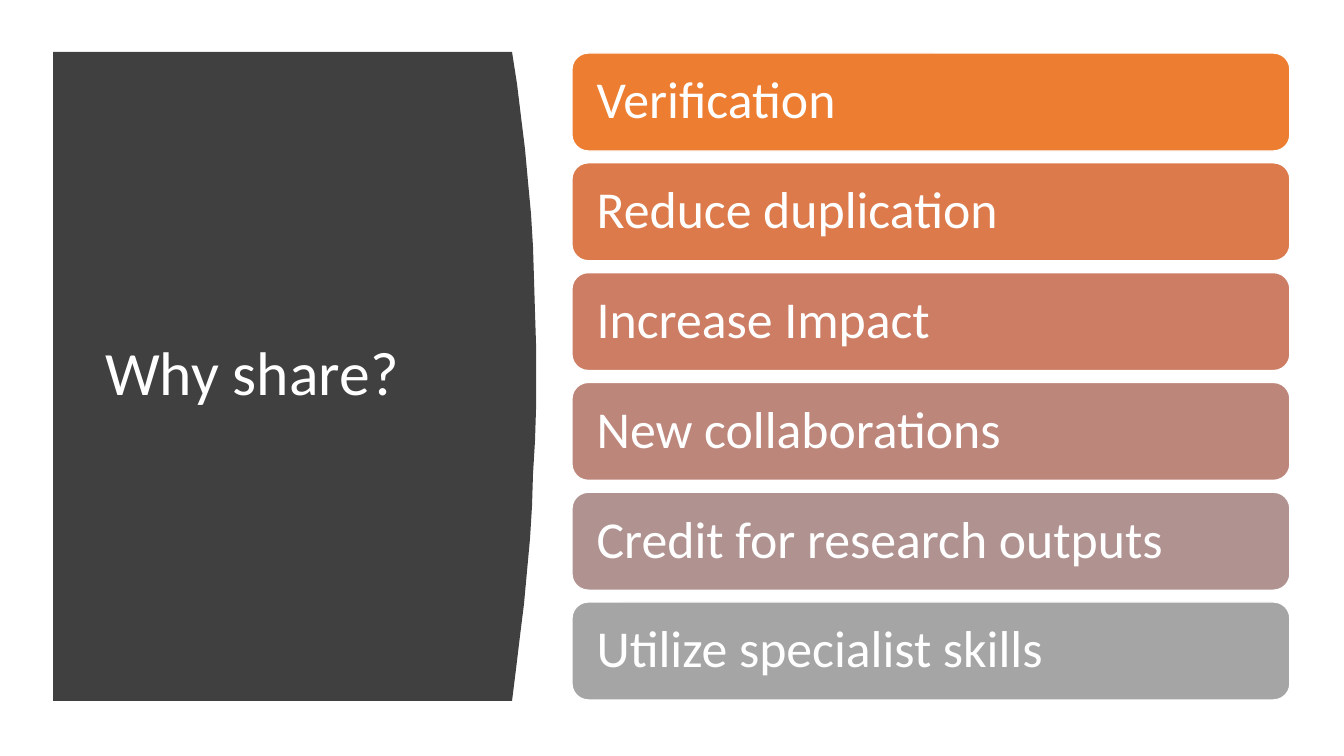
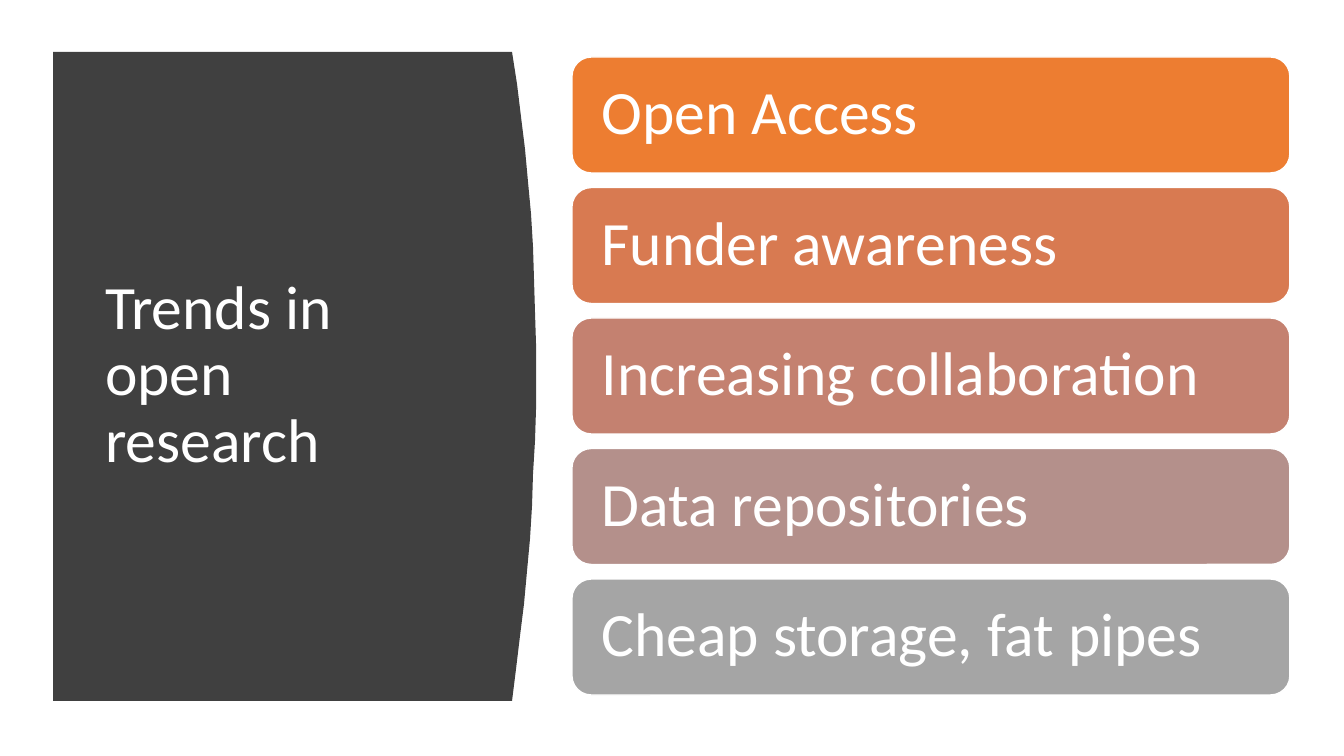
import colorsys

from pptx import Presentation
from pptx.dml.color import RGBColor
from pptx.enum.shapes import MSO_SHAPE
from pptx.enum.text import MSO_ANCHOR, MSO_AUTO_SIZE, PP_ALIGN
from pptx.util import Emu, Pt

ROUNDED = MSO_SHAPE.ROUNDED_RECTANGLE
MIDDLE = MSO_ANCHOR.MIDDLE
LEFT = PP_ALIGN.LEFT
NO_FIT = MSO_AUTO_SIZE.NONE

# Content; bar measures are in pixels, text size in points
SLIDES = [
    {
        "title": "Why share?",
        "bars": ["Verification", "Reduce duplication", "Increase Impact",
                 "New collaborations", "Credit for research outputs",
                 "Utilize specialist skills"],
        "top": 53, "bottom": 700, "height": 98, "inset": 20, "size": 37,
    },
    {
        "title": "Trends in open research",
        "bars": ["Open Access", "Funder awareness", "Increasing collaboration",
                 "Data repositories", "Cheap storage, fat pipes"],
        "top": 57, "bottom": 695, "height": 116, "inset": 24, "size": 44,
    },
]

# Shared style
FONT = "Calibri"
WHITE = RGBColor(0xFF, 0xFF, 0xFF)
CHARCOAL = RGBColor(0x40, 0x40, 0x40)
ORANGE = RGBColor(0xED, 0x7D, 0x31)
GREY = RGBColor(0xA5, 0xA5, 0xA5)

# Shared geometry in pixels
EMU_PER_PIXEL = 914400 / 100.8
SLIDE_WIDTH, SLIDE_HEIGHT = 1344, 756
PANEL_LEFT, PANEL_TOP, PANEL_BOTTOM = 53, 52, 701
PANEL_EDGE, PANEL_BULGE, BULGE_Y = 512, 536, 363
CURVE_STEPS = 20
TITLE_BOX = (95, 112, 376, 528)
BAR_LEFT, BAR_WIDTH = 572, 718


def emu(pixels):
    return Emu(round(pixels * EMU_PER_PIXEL))


def place(shape, left, top, width, height):
    shape.left, shape.top = emu(left), emu(top)
    shape.width, shape.height = emu(width), emu(height)


def blend(start, end, share):
    """Mix two colours evenly in hue, lightness and saturation."""
    first, last = (colorsys.rgb_to_hls(*(channel / 255 for channel in color))
                   for color in (start, end))
    mixed = (a + (b - a) * share for a, b in zip(first, last))
    return RGBColor(*(round(channel * 255)
                      for channel in colorsys.hls_to_rgb(*mixed)))


def format_text(text_frame, size):
    text_frame.word_wrap = True
    text_frame.auto_size = NO_FIT
    text_frame.vertical_anchor = MIDDLE
    paragraph = text_frame.paragraphs[0]
    paragraph.alignment = LEFT
    paragraph.line_spacing = 0.9
    paragraph.font.name = FONT
    paragraph.font.size = Pt(size)
    paragraph.font.color.rgb = WHITE


def add_panel(slide):
    """Dark panel whose right side is two half parabolas."""
    curve = []
    for step in range(CURVE_STEPS + 1):
        y = PANEL_TOP + (PANEL_BOTTOM - PANEL_TOP) * step / CURVE_STEPS
        reach = (PANEL_TOP if y < BULGE_Y else PANEL_BOTTOM) - BULGE_Y
        x = PANEL_BULGE - (PANEL_BULGE - PANEL_EDGE) * ((y - BULGE_Y) / reach) ** 2
        curve.append((x, y))
    builder = slide.shapes.build_freeform(PANEL_LEFT, PANEL_TOP, EMU_PER_PIXEL)
    builder.add_line_segments(curve + [(PANEL_LEFT, PANEL_BOTTOM)], close=True)
    panel = builder.convert_to_shape()
    panel.shadow.inherit = False
    panel.fill.solid()
    panel.fill.fore_color.rgb = CHARCOAL
    panel.line.fill.background()
    # Keep the panel behind the title
    slide.shapes.title._element.addprevious(panel._element)


def add_title(slide, text):
    title = slide.shapes.title
    place(title, *TITLE_BOX)
    title.text_frame.text = text
    format_text(title.text_frame, 44)


def add_bars(slide, content):
    labels, height = content["bars"], content["height"]
    last = len(labels) - 1
    pitch = (content["bottom"] - content["top"] - height) / last
    for index, label in enumerate(labels):
        bar = slide.shapes.add_shape(ROUNDED, 0, 0, 0, 0)
        place(bar, BAR_LEFT, content["top"] + index * pitch, BAR_WIDTH, height)
        bar.shadow.inherit = False
        bar.fill.solid()
        bar.fill.fore_color.rgb = blend(ORANGE, GREY, index / last)
        bar.line.color.rgb = WHITE
        bar.line.width = Pt(1)
        text_frame = bar.text_frame
        text_frame.text = label
        text_frame.margin_left = text_frame.margin_right = emu(content["inset"])
        text_frame.margin_top = text_frame.margin_bottom = 0
        format_text(text_frame, content["size"])


# Build the slides
presentation = Presentation()
presentation.slide_width = emu(SLIDE_WIDTH)
presentation.slide_height = emu(SLIDE_HEIGHT)
title_only = presentation.slide_layouts[5]

for content in SLIDES:
    slide = presentation.slides.add_slide(title_only)
    add_panel(slide)
    add_title(slide, content["title"])
    add_bars(slide, content)

presentation.save("out.pptx")
